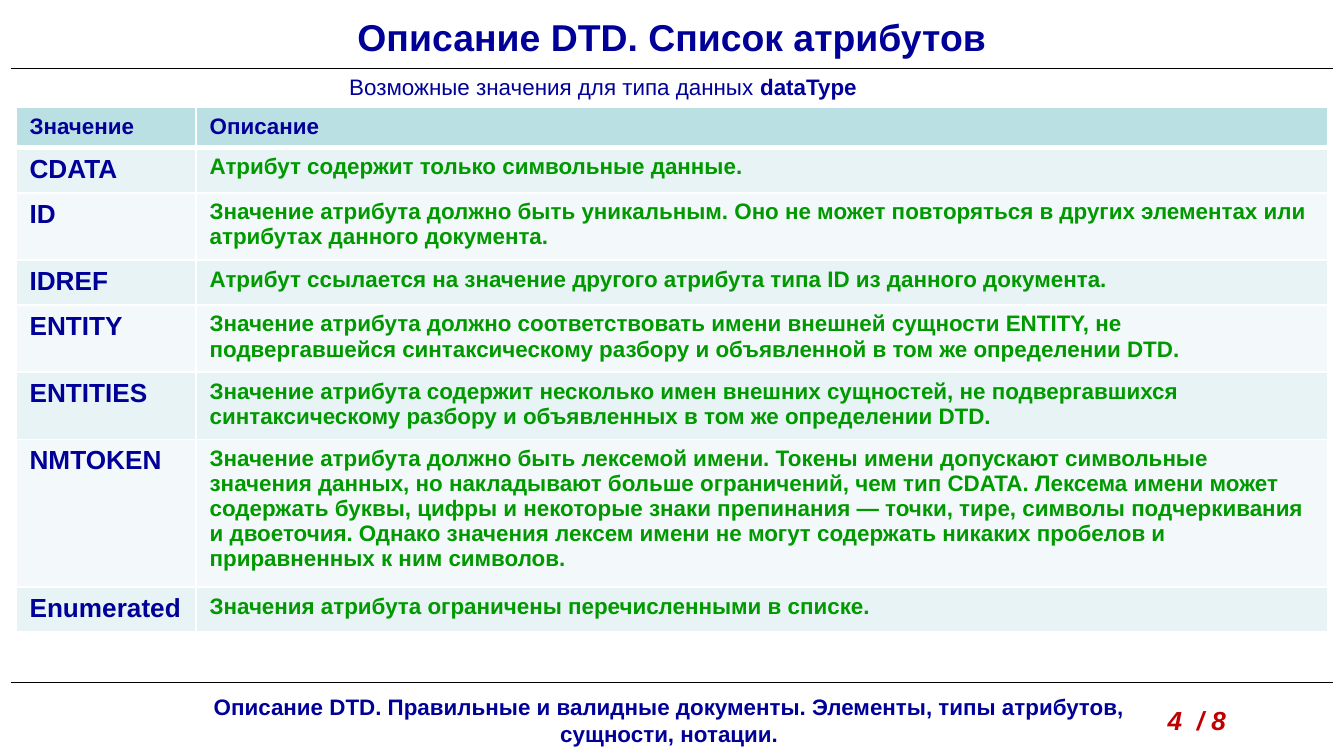
import dataclasses

import pptx
import pptx.dml.color
import pptx.enum.shapes
import pptx.enum.text
import pptx.oxml
import pptx.oxml.ns
import pptx.slide
import pptx.table
import pptx.text.text
import pptx.util

Inches = pptx.util.Inches
Align = pptx.enum.text.PP_ALIGN
Anchor = pptx.enum.text.MSO_ANCHOR


@dataclasses.dataclass(frozen=True)
class Theme:
    font: str = "Arial"
    navy: str = "000099"
    green: str = "009900"
    red: str = "C00000"
    black: str = "000000"
    white: str = "FFFFFF"
    header_fill: str = "BBE0E3"
    band_fills: tuple[str, str] = ("E7F3F4", "F3F9FA")
    title_size: float = 20
    term_size: float = 14
    body_size: float = 12
    rule_width: float = 0.75
    border_width: float = 1
    header_border_width: float = 3


THEME = Theme()


@dataclasses.dataclass(frozen=True)
class Box:
    left: float
    top: float
    width: float
    height: float


@dataclasses.dataclass(frozen=True)
class Attribute:
    name: str
    description: str
    height: float


ATTRIBUTES = [
    Attribute("CDATA", "Атрибут содержит только символьные данные.", 0.33),
    Attribute("ID", "Значение атрибута должно быть уникальным. Оно не может повторяться "
              "в других элементах или атрибутах данного документа.", 0.5),
    Attribute("IDREF", "Атрибут ссылается на значение другого атрибута типа ID "
              "из данного документа.", 0.33),
    Attribute("ENTITY", "Значение атрибута должно соответствовать имени внешней сущности "
              "ENTITY, не подвергавшейся синтаксическому разбору и объявленной "
              "в том же определении DTD.", 0.5),
    Attribute("ENTITIES", "Значение атрибута содержит несколько имен внешних сущностей, "
              "не подвергавшихся синтаксическому разбору и объявленных "
              "в том же определении DTD.", 0.5),
    Attribute("NMTOKEN", "Значение атрибута должно быть лексемой имени. Токены имени "
              "допускают символьные значения данных, но накладывают больше ограничений, "
              "чем тип CDATA. Лексема имени может содержать буквы, цифры и некоторые знаки "
              "препинания — точки, тире, символы подчеркивания и двоеточия. Однако значения "
              "лексем имени не могут содержать никаких пробелов и приравненных "
              "к ним символов.", 1.1),
    Attribute("Enumerated", "Значения атрибута ограничены перечисленными в списке.", 0.33),
]
HEADER_HEIGHT = 0.3
COLUMN_WIDTHS = (1.34, 8.42)


def rgb(color: str) -> pptx.dml.color.RGBColor:
    return pptx.dml.color.RGBColor.from_string(color)


def add_text(paragraph: pptx.text.text._Paragraph, text: str, *,
             size: float = THEME.body_size, color: str = THEME.navy,
             bold: bool = True, italic: bool = False) -> None:
    run = paragraph.add_run()
    run.text = text
    run.font.name = THEME.font
    run.font.size = pptx.util.Pt(size)
    run.font.color.rgb = rgb(color)
    run.font.bold = bold
    run.font.italic = italic


def add_text_box(slide: pptx.slide.Slide, box: Box, align: Align = Align.LEFT,
                 anchor: Anchor = Anchor.TOP) -> pptx.text.text._Paragraph:
    shape = slide.shapes.add_textbox(
        Inches(box.left), Inches(box.top), Inches(box.width), Inches(box.height))
    shape.text_frame.word_wrap = True
    shape.text_frame.vertical_anchor = anchor
    paragraph = shape.text_frame.paragraphs[0]
    paragraph.alignment = align
    return paragraph


def add_rule(slide: pptx.slide.Slide, top: float) -> None:
    connector = slide.shapes.add_connector(
        pptx.enum.shapes.MSO_CONNECTOR.STRAIGHT,
        Inches(0.08), Inches(top), Inches(9.92), Inches(top))
    connector.line.color.rgb = rgb(THEME.black)
    connector.line.width = pptx.util.Pt(THEME.rule_width)
    properties = connector._element.spPr
    properties.append(pptx.oxml.parse_xml(
        f'<a:effectLst {pptx.oxml.ns.nsdecls("a")}/>'))


def set_borders(cell: pptx.table._Cell, top: float, bottom: float) -> None:
    widths = {"lnL": THEME.border_width, "lnR": THEME.border_width,
              "lnT": top, "lnB": bottom}
    properties = cell._tc.get_or_add_tcPr()
    for position, (tag, width) in enumerate(widths.items()):
        properties.insert(position, pptx.oxml.parse_xml(
            f'<a:{tag} {pptx.oxml.ns.nsdecls("a")} w="{pptx.util.Pt(width)}">'
            f'<a:solidFill><a:srgbClr val="{THEME.white}"/></a:solidFill></a:{tag}>'))


def add_attribute_table(slide: pptx.slide.Slide) -> None:
    rows = [Attribute("Значение", "Описание", HEADER_HEIGHT), *ATTRIBUTES]
    frame = slide.shapes.add_table(
        len(rows), len(COLUMN_WIDTHS), Inches(0.12), Inches(0.8),
        Inches(sum(COLUMN_WIDTHS)), Inches(sum(row.height for row in rows)))
    table = frame.table
    table.horz_banding = False
    for column, width in zip(table.columns, COLUMN_WIDTHS):
        column.width = Inches(width)

    for index, row in enumerate(rows):
        table.rows[index].height = Inches(row.height)
        is_header = index == 0
        fill = THEME.header_fill if is_header else THEME.band_fills[(index - 1) % 2]
        name_size = THEME.body_size if is_header else THEME.term_size
        description_color = THEME.navy if is_header else THEME.green
        top = THEME.header_border_width if index == 1 else THEME.border_width
        bottom = THEME.header_border_width if is_header else THEME.border_width
        name_cell, description_cell = table.rows[index].cells
        for cell in (name_cell, description_cell):
            cell.fill.solid()
            cell.fill.fore_color.rgb = rgb(fill)
            set_borders(cell, top, bottom)
        add_text(name_cell.text_frame.paragraphs[0], row.name, size=name_size)
        add_text(description_cell.text_frame.paragraphs[0], row.description,
                 color=description_color)


def main() -> None:
    presentation = pptx.Presentation()
    presentation.slide_width = Inches(10)
    presentation.slide_height = presentation.slide_width * 9 // 16
    slide = presentation.slides.add_slide(presentation.slide_layouts[6])

    footer = add_text_box(slide, Box(1.25, 5.11, 7.46, 0.5), Align.CENTER)
    add_text(footer, "Описание DTD. Правильные и валидные документы. "
             "Элементы, типы атрибутов, сущности, нотации.")
    for top in (5.08, 0.51):
        add_rule(slide, top)
    page_number = add_text_box(slide, Box(8.59, 5.19, 1.02, 0.34))
    add_text(page_number, "4  / 8", size=THEME.term_size, color=THEME.red, italic=True)

    title = add_text_box(slide, Box(0, 0.05, 10, 0.45), Align.CENTER, Anchor.MIDDLE)
    add_text(title, "Описание DTD. Список атрибутов", size=THEME.title_size)
    subtitle = add_text_box(slide, Box(2.5, 0.52, 5, 0.46), Align.JUSTIFY)
    subtitle.line_spacing = 0.9
    add_text(subtitle, "Возможные значения для типа данных ", bold=False)
    add_text(subtitle, "dataType ")
    add_attribute_table(slide)

    presentation.save("out.pptx")


if __name__ == "__main__":
    main()
